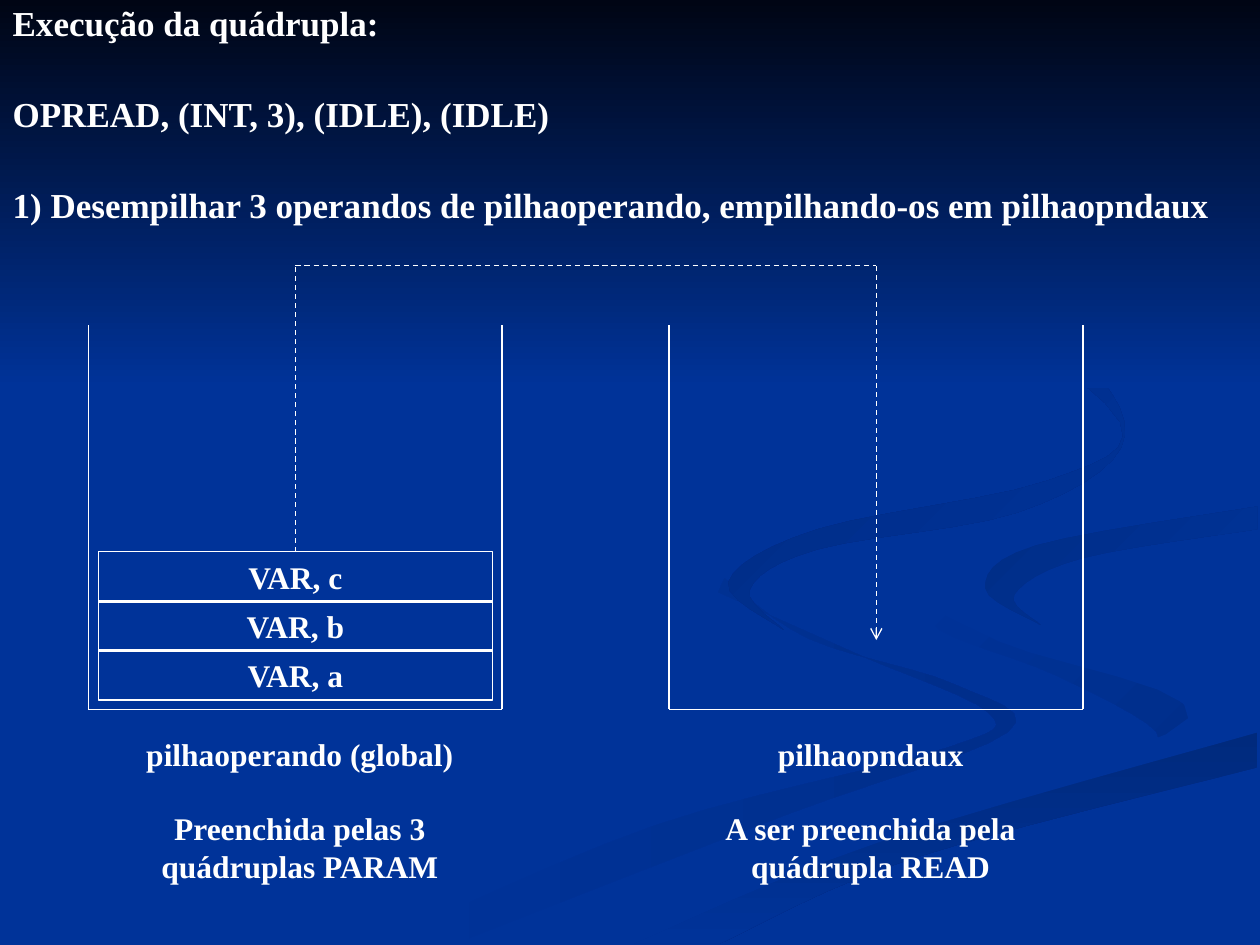
from lxml.etree import SubElement
from pptx import Presentation
from pptx.dml.color import RGBColor
from pptx.enum.dml import MSO_LINE
from pptx.enum.shapes import MSO_CONNECTOR, MSO_SHAPE
from pptx.enum.text import MSO_ANCHOR, PP_ALIGN
from pptx.oxml.ns import qn
from pptx.util import Inches, Pt

WIDTH, HEIGHT = Inches(10), Inches(7.5)
FONT = "Times New Roman"
COLORS = {
    "base": "003399", "night": "000514", "white": "FFFFFF",
    "shade_a": "002E8B", "shade_b": "002A7D", "shade_c": "002D86", "shade_d": "002B82",
}

# Background ribbons: start colour, end colour, clockwise angle, curved edges in inches
RIBBONS = [
    ("base", "shade_a", 0, [
        [(5.75, 4.59), (6.42, 5.07), (7.57, 5.43), (8, 5.81), (6.23, 6.47), (3.61, 7.49)],
        [(3, 7.49), (5.2, 6.55), (7.5, 5.94), (7.85, 5.66), (6.8, 5.19), (5.7, 4.7)]]),
    ("base", "shade_a", 45, [
        [(7.24, 4.64), (7.92, 5.09), (9.05, 5.4), (9.43, 5.7), (8.94, 6.05)],
        [(8.94, 6.05), (9.18, 5.81), (8.38, 5.36), (7.46, 5), (7.24, 4.64)]]),
    ("shade_b", "base", 90, [
        [(5.03, 7.49), (6.96, 6.69), (9.98, 5.81)],
        [(9.98, 6.09), (7.22, 6.82), (5.71, 7.49)]]),
    ("base", None, 0, [
        [(4.77, 7.49), (7.04, 6.55), (9.43, 5.7), (7.93, 5.09), (7.25, 4.64), (8.08, 4.17),
         (9.99, 3.87)],
        [(9.99, 4.02), (8, 4.42), (8.04, 4.85), (9.99, 5.38)],
        [(9.99, 5.81), (6.96, 6.69), (5.03, 7.49)]]),
    ("shade_c", "base", 45, [
        [(9.98, 4.02), (8.22, 4.33), (7.82, 4.67), (8.26, 4.96)],
        [(8.26, 4.96), (8.05, 4.72), (8.59, 4.43), (9.98, 4.2)]]),
    ("shade_d", "base", 45, [
        [(7.62, 2.33), (8.64, 2.91), (8.9, 3.55), (8.07, 4.07), (6.49, 4.36), (5.95, 4.68),
         (6.22, 5)],
        [(6.22, 5), (5.78, 4.62), (6.49, 4.2), (8.3, 3.82), (8.89, 3.35), (7.62, 2.33)]]),
]

# Left edge of each tray and of its caption, in percent of the slide's width
TRAYS = [
    (7, 7.8, ["pilhaoperando (global)", "Preenchida pelas 3 quádruplas PARAM"]),
    (53.1, 53.1, ["pilhaopndaux", "A ser preenchida pela quádrupla READ"]),
]
TRAY_WIDTH, TRAY_TOP, TRAY_BOTTOM = 32.85, 34.4, 75.07
STACK_TOP, STACK_STEP = 58.4, 5.2
ROUTE_TOP = 28.13


def color(name):
    return RGBColor.from_string(COLORS[name])


def across(percent):
    return round(WIDTH * percent / 100)


def down(percent):
    return round(HEIGHT * percent / 100)


def area(left, top, width, height):
    return across(left), down(top), across(width), down(height)


def smooth_edge(knots, steps=6):
    """Points of a Catmull-Rom curve through the knots."""
    padded = [knots[0], *knots, knots[-1]]
    points = []
    for a, b, c, d in zip(padded, padded[1:], padded[2:], padded[3:]):
        for step in range(steps):
            t = step / steps
            points.append(tuple(
                q + t / 2 * (r - p + t * (2 * p - 5 * q + 4 * r - s + t * (3 * (q - r) + s - p)))
                for p, q, r, s in zip(a, b, c, d)))
    return points + [knots[-1]]


def paint(shape, start, end=None, angle=0):
    """Fill a borderless shape with a colour or, given an end colour, a gradient."""
    shape.shadow.inherit = False
    shape.line.fill.background()
    if end is None:
        shape.fill.solid()
        shape.fill.fore_color.rgb = color(start)
        return
    shape.fill.gradient()
    shape.fill.gradient_angle = -angle % 360
    for stop, name in zip(shape.fill.gradient_stops, (start, end)):
        stop.color.rgb = color(name)


def add_backdrop(page):
    page.background.fill.solid()
    page.background.fill.fore_color.rgb = color("base")
    for start, end, angle, edges in RIBBONS:
        points = [(Inches(x), Inches(y)) for edge in edges for x, y in smooth_edge(edge)]
        builder = page.shapes.build_freeform(*points[0])
        builder.add_line_segments(points[1:], close=True)
        paint(builder.convert_to_shape(), start, end, angle)
    sky = page.shapes.add_shape(MSO_SHAPE.RECTANGLE, *area(0, 0, 100, 41.07))
    paint(sky, "night", "base", 90)


def write(frame, lines, size, align=PP_ALIGN.LEFT, gap=0, spacing=None):
    frame.word_wrap = True
    frame.vertical_anchor = MSO_ANCHOR.TOP
    for index, line in enumerate(lines):
        para = frame.paragraphs[0] if index == 0 else frame.add_paragraph()
        para.alignment = align
        para.space_before = Pt(gap if index else 0)
        para.line_spacing = spacing
        span = para.add_run()
        span.text = line
        span.font.name, span.font.size, span.font.bold = FONT, Pt(size), True
        span.font.color.rgb = color("white")


def add_statement(page):
    page.shapes.title.element.getparent().remove(page.shapes.title.element)
    body = page.placeholders[1]
    body.left, body.top, body.width, body.height = area(0, 0, 100, 100)
    write(body.text_frame, [
        "Execução da quádrupla:",
        "OPREAD, (INT, 3), (IDLE), (IDLE)",
        "1) Desempilhar 3 operandos de pilhaoperando, empilhando-os em pilhaopndaux",
    ], 20, gap=31, spacing=Pt(21))
    for para in body.text_frame.paragraphs:
        properties = para._p.get_or_add_pPr()
        properties.set("marL", "0")
        properties.set("indent", "0")
        SubElement(properties, qn("a:buNone"))
    body.element.getparent().append(body.element)  # in front of the backdrop


def add_line(page, start, end, dashed=False, arrow=False):
    line = page.shapes.add_connector(
        MSO_CONNECTOR.STRAIGHT, across(start[0]), down(start[1]), across(end[0]), down(end[1]))
    line.line.color.rgb = color("white")
    line.line.width = Pt(0.75)
    if dashed:
        line.line.dash_style = MSO_LINE.DASH
    if arrow:
        SubElement(line.line._get_or_add_ln(), qn("a:tailEnd"), type="arrow")
    SubElement(line._element.spPr, qn("a:effectLst"))
    return line


def add_tray(page, left, caption_left, caption):
    right = left + TRAY_WIDTH
    corners = [(left, TRAY_TOP), (left, TRAY_BOTTOM), (right, TRAY_BOTTOM), (right, TRAY_TOP)]
    for start, end in zip(corners, corners[1:]):
        add_line(page, start, end)
    box = page.shapes.add_textbox(*area(caption_left, 77.07, 32, 17.33))
    write(box.text_frame, caption, 18, align=PP_ALIGN.CENTER, gap=21)


def add_operand(page, row, label):
    box = page.shapes.add_shape(
        MSO_SHAPE.RECTANGLE, *area(7.8, STACK_TOP + row * STACK_STEP, 31.3, 5.3))
    box.shadow.inherit = False
    box.fill.background()
    box.line.color.rgb = color("white")
    box.line.width = Pt(0.75)
    write(box.text_frame, [label], 18, align=PP_ALIGN.CENTER)
    return box


def add_route(page, source):
    """Dashed path from the top operand over into the second tray."""
    stops = [(23.45, STACK_TOP), (23.45, ROUTE_TOP), (69.55, ROUTE_TOP), (69.55, 67.73)]
    legs = [add_line(page, start, end, dashed=True, arrow=end == stops[-1])
            for start, end in zip(stops, stops[1:])]
    legs[0].begin_connect(source, 0)


def main():
    deck = Presentation()
    deck.slide_width, deck.slide_height = WIDTH, HEIGHT
    page = deck.slides.add_slide(deck.slide_layouts[1])
    add_backdrop(page)
    add_statement(page)
    for tray in TRAYS:
        add_tray(page, *tray)
    operands = [add_operand(page, row, f"VAR, {name}") for row, name in enumerate("cba")]
    add_route(page, operands[0])
    deck.save("out.pptx")


if __name__ == "__main__":
    main()
